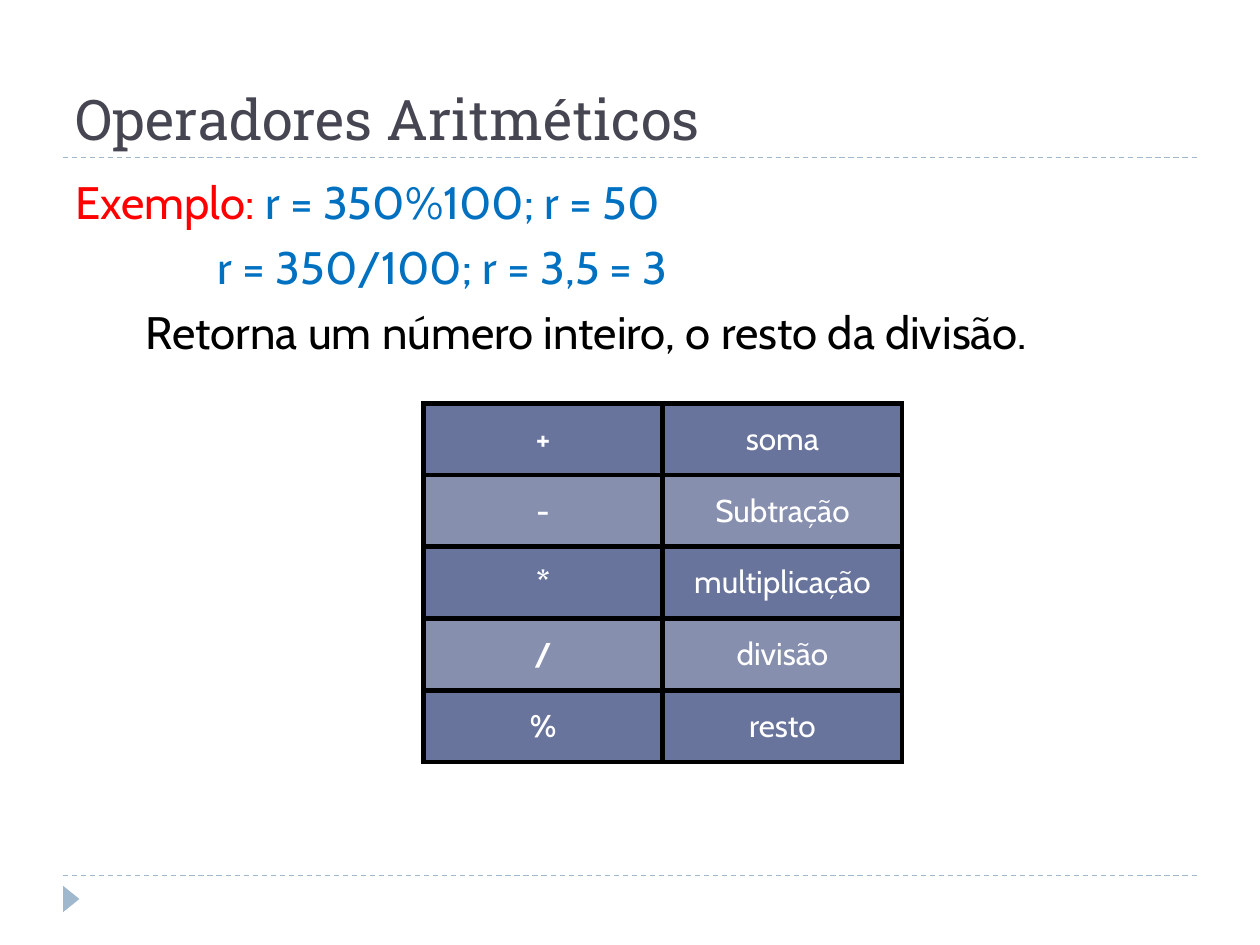
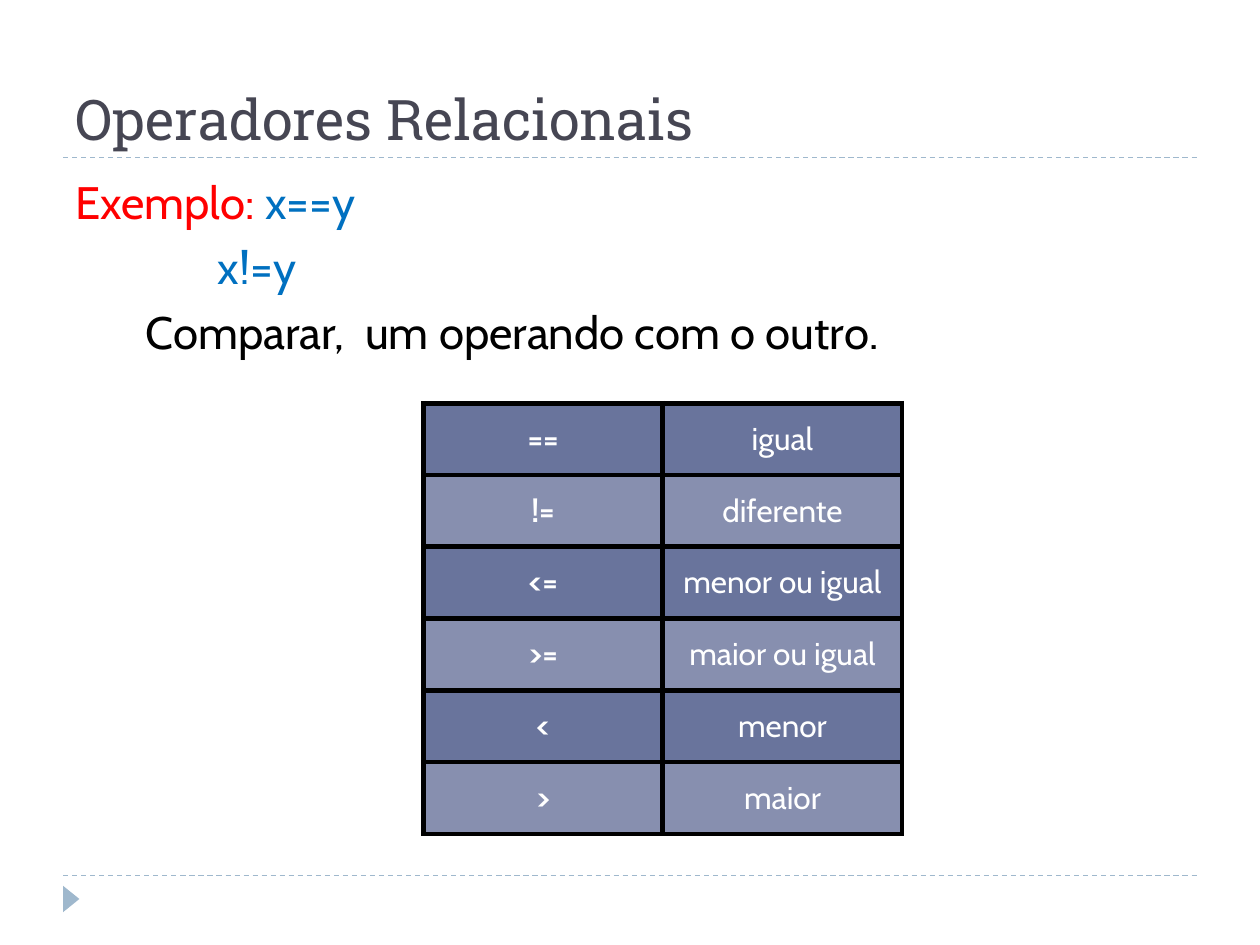
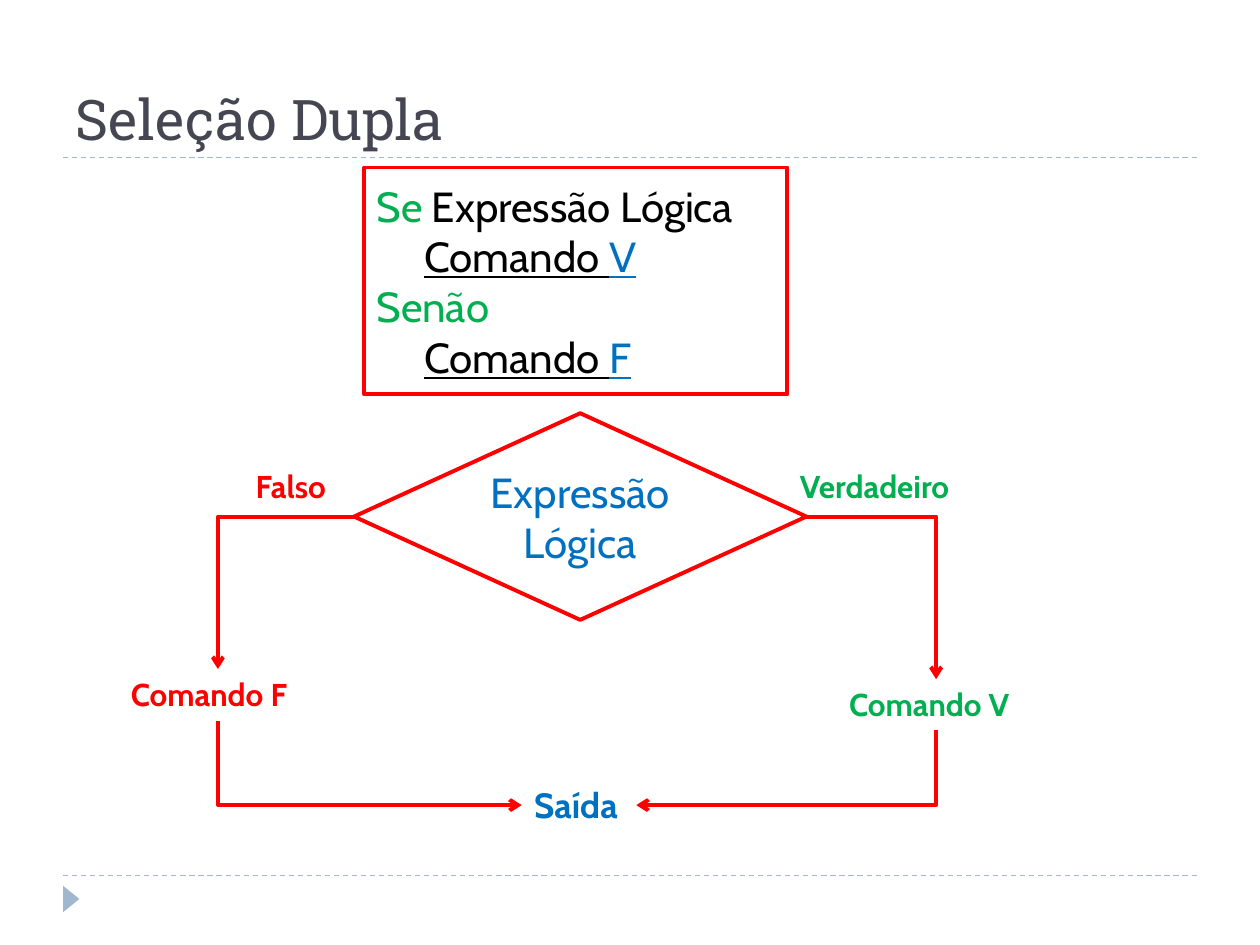
from dataclasses import dataclass

from lxml.etree import SubElement
from pptx import Presentation
from pptx.dml.color import RGBColor
from pptx.enum.dml import MSO_LINE
from pptx.enum.shapes import MSO_CONNECTOR as Connector, MSO_SHAPE as Shape
from pptx.enum.text import MSO_ANCHOR as Anchor, MSO_AUTO_SIZE as AutoSize, PP_ALIGN as Align
from pptx.oxml.ns import qn
from pptx.util import Emu, Inches, Pt


@dataclass(frozen=True)
class Theme:
    white: str = "FFFFFF"
    ink: str = "000000"
    title: str = "464653"
    rule: str = "9FB8CD"
    red: str = "FF0000"
    blue: str = "0070C0"
    green: str = "00B050"
    bands: tuple = ("69749C", "878FAF")
    title_font: str = "Roboto Slab"
    body_font: str = "Cabin"
    title_size: float = 32
    body_size: float = 26
    flow_size: float = 24
    exit_size: float = 20
    small_size: float = 18
    flow_line: float = 2.25
    thin_line: float = 0.75
    cell_line: float = 3


THEME = Theme()


class Deck:
    COLUMNS, ROWS = 100, 75

    def __init__(self, theme):
        self.theme = theme
        self.show = Presentation()
        self.show.slide_width, self.show.slide_height = Inches(10), Inches(7.5)
        self.slide = None

    def x(self, columns):
        return Emu(round(self.show.slide_width * columns / self.COLUMNS))

    def y(self, rows):
        return Emu(round(self.show.slide_height * rows / self.ROWS))

    def area(self, left, top, width, height):
        return self.x(left), self.y(top), self.x(width), self.y(height)

    def style(self, font, size, color=None, bold=None, name=None):
        font.name, font.size, font.bold = name or self.theme.body_font, Pt(size), bold
        if color:
            font.color.rgb = RGBColor.from_string(color)

    def new_slide(self, title):
        self.slide = self.show.slides.add_slide(self.show.slide_layouts[6])
        for row in (69.5, 12.5):
            self.rule(row)
        marker = self.shape(Shape.ISOSCELES_TRIANGLE, (4.6, 70.7, 2.1, 1.3), self.theme.rule)
        marker.rotation = 90
        heading = self.text((5, 1.7, 90, 10.8), title, self.theme.title_size,
                            self.theme.title, name=self.theme.title_font)
        heading.vertical_anchor = Anchor.BOTTOM

    def text(self, area, words, size, color, bold=None, name=None, wrap=True):
        frame = self.slide.shapes.add_textbox(*self.area(*area)).text_frame
        frame.word_wrap = wrap
        frame.auto_size = AutoSize.NONE if wrap else AutoSize.SHAPE_TO_FIT_TEXT
        frame.text = words
        self.style(frame.paragraphs[0].font, size, color, bold, name)
        return frame

    def label(self, area, words, color, size=None):
        self.text(area, words, size or self.theme.small_size, color, bold=True, wrap=False)

    def lines(self, frame, lines, size, space=0):
        for number, (indent, runs) in enumerate(lines):
            paragraph = frame.add_paragraph() if number else frame.paragraphs[0]
            paragraph.alignment = Align.LEFT
            paragraph.space_before = Pt(space)
            paragraph._p.get_or_add_pPr().set("marL", str(self.x(indent)))
            self.style(paragraph.font, size)
            for words, color, *underlined in runs:
                run = paragraph.add_run()
                run.text = words
                run.font.color.rgb = RGBColor.from_string(color)
                if underlined:
                    run.font.underline = True

    def example(self, first, second, meaning):
        theme = self.theme
        frame = self.slide.shapes.add_textbox(*self.area(5, 13.3, 90, 54)).text_frame
        frame.word_wrap = True
        self.lines(frame, [
            (0, [("Exemplo: ", theme.red), (first, theme.blue)]),
            (11.3, [(second, theme.blue)]),
            (5.6, [(meaning, theme.ink)]),
        ], theme.body_size, space=6)

    def shape(self, kind, area, fill, line=None):
        shape = self.slide.shapes.add_shape(kind, *self.area(*area))
        shape.shadow.inherit = False
        shape.fill.solid()
        shape.fill.fore_color.rgb = RGBColor.from_string(fill)
        if line:
            self.stroke(shape.line, line, self.theme.flow_line)
        else:
            shape.line.fill.background()
        shape.text_frame.vertical_anchor = Anchor.MIDDLE
        return shape

    def stroke(self, line, color, width):
        line.color.rgb = RGBColor.from_string(color)
        line.width = Pt(width)

    def connector(self, kind, start, end, color, width):
        (left, top), (right, bottom) = start, end
        link = self.slide.shapes.add_connector(
            kind, self.x(left), self.y(top), self.x(right), self.y(bottom))
        self.stroke(link.line, color, width)
        SubElement(link._element.spPr, qn("a:effectLst"))
        return link

    def rule(self, row):
        rule = self.connector(Connector.STRAIGHT, (5, row), (95, row),
                              self.theme.rule, self.theme.thin_line)
        rule.line.dash_style = MSO_LINE.DASH

    def arrow(self, start, end, down_first=False):
        (x1, y1), (x2, y2) = start, end
        turn = 0
        if down_first:
            side = 1 if x2 > x1 else -1
            middle_x, middle_y = (x1 + x2) / 2, (y1 + y2) / 2
            half_x, half_y = side * (y2 - y1) / 2, abs(x2 - x1) / 2
            start = middle_x + half_x, middle_y - half_y
            end = middle_x - half_x, middle_y + half_y
            turn = 270 if side > 0 else 90
        link = self.connector(Connector.ELBOW, start, end, self.theme.red, self.theme.flow_line)
        properties = link._element.spPr
        properties.find(qn("a:prstGeom")).set("prst", "bentConnector2")
        if turn:
            properties.find(qn("a:xfrm")).set("rot", str(turn * 60000))
        SubElement(properties.find(qn("a:ln")), qn("a:tailEnd"), type="arrow")

    def operators(self, entries):
        column_width, row_height = 19, 5.7
        table = self.slide.shapes.add_table(len(entries), 2, *self.area(
            33.6, 32, 2 * column_width, len(entries) * row_height)).table
        table.first_row = table.horz_banding = False
        for row, entry in enumerate(entries):
            table.rows[row].height = self.y(row_height)
            for column, words in enumerate(entry):
                self.cell(table.cell(row, column), words, self.theme.bands[row % 2], column == 0)

    def cell(self, cell, words, fill, bold):
        cell.text = words
        cell.vertical_anchor = Anchor.MIDDLE
        paragraph = cell.text_frame.paragraphs[0]
        paragraph.alignment = Align.CENTER
        self.style(paragraph.font, self.theme.small_size, self.theme.white, bold)
        properties = cell._tc.get_or_add_tcPr()
        for side in ("lnL", "lnR", "lnT", "lnB"):
            border = SubElement(properties, qn(f"a:{side}"), w=str(Pt(self.theme.cell_line)))
            SubElement(SubElement(border, qn("a:solidFill")), qn("a:srgbClr"), val=self.theme.ink)
        cell.fill.solid()
        cell.fill.fore_color.rgb = RGBColor.from_string(fill)


deck = Deck(THEME)

deck.new_slide("Operadores Aritméticos")
deck.example("r = 350%100; r = 50", "r = 350/100; r = 3,5 = 3",
             "Retorna um número inteiro, o resto da divisão.")
deck.operators([("+", "soma"), ("-", "Subtração"), ("*", "multiplicação"),
                ("/", "divisão"), ("%", "resto")])

deck.new_slide("Operadores Relacionais")
deck.example("x==y", "x!=y", "Comparar,  um operando com o outro.")
deck.operators([("==", "igual"), ("!=", "diferente"), ("<=", "menor ou igual"),
                (">=", "maior ou igual"), ("<", "menor"), (">", "maior")])

deck.new_slide("Seleção Dupla")
pseudocode = deck.shape(Shape.RECTANGLE, (28.9, 13.3, 33.6, 18), THEME.white, THEME.red)
deck.lines(pseudocode.text_frame, [
    (0, [("Se", THEME.green), (" Expressão Lógica", THEME.ink)]),
    (3.8, [("Comando ", THEME.ink, True), ("V", THEME.blue, True)]),
    (0, [("Senão", THEME.green)]),
    (3.8, [("Comando ", THEME.ink, True), ("F", THEME.blue, True)]),
], THEME.flow_size)

decision = deck.shape(Shape.DIAMOND, (28.1, 32.8, 35.9, 16.4), THEME.white, THEME.red)
decision.text_frame.text = "Expressão Lógica"
condition = decision.text_frame.paragraphs[0]
condition.alignment = Align.CENTER
deck.style(condition.font, THEME.flow_size, THEME.blue)

false_column, true_column, decision_row, exit_row = 17.3, 74.3, 41, 63.9
deck.arrow((64, decision_row), (true_column, 53.9))
deck.arrow((28.1, decision_row), (false_column, 53.1))
deck.label((19.3, 36.6, 8.1, 4), "Falso", THEME.red)
deck.label((62.5, 36.6, 15, 4), "Verdadeiro", THEME.green)
deck.label((9.4, 53.1, 15.9, 4), "Comando F", THEME.red)
deck.label((66.4, 53.9, 15.8, 4), "Comando V", THEME.green)
deck.arrow((false_column, 57.2), (41.4, exit_row), down_first=True)
deck.label((41.4, 61.7, 9.1, 4.4), "Saída", THEME.blue, THEME.exit_size)
deck.arrow((true_column, 57.9), (50.5, exit_row), down_first=True)

deck.show.save("out.pptx")
